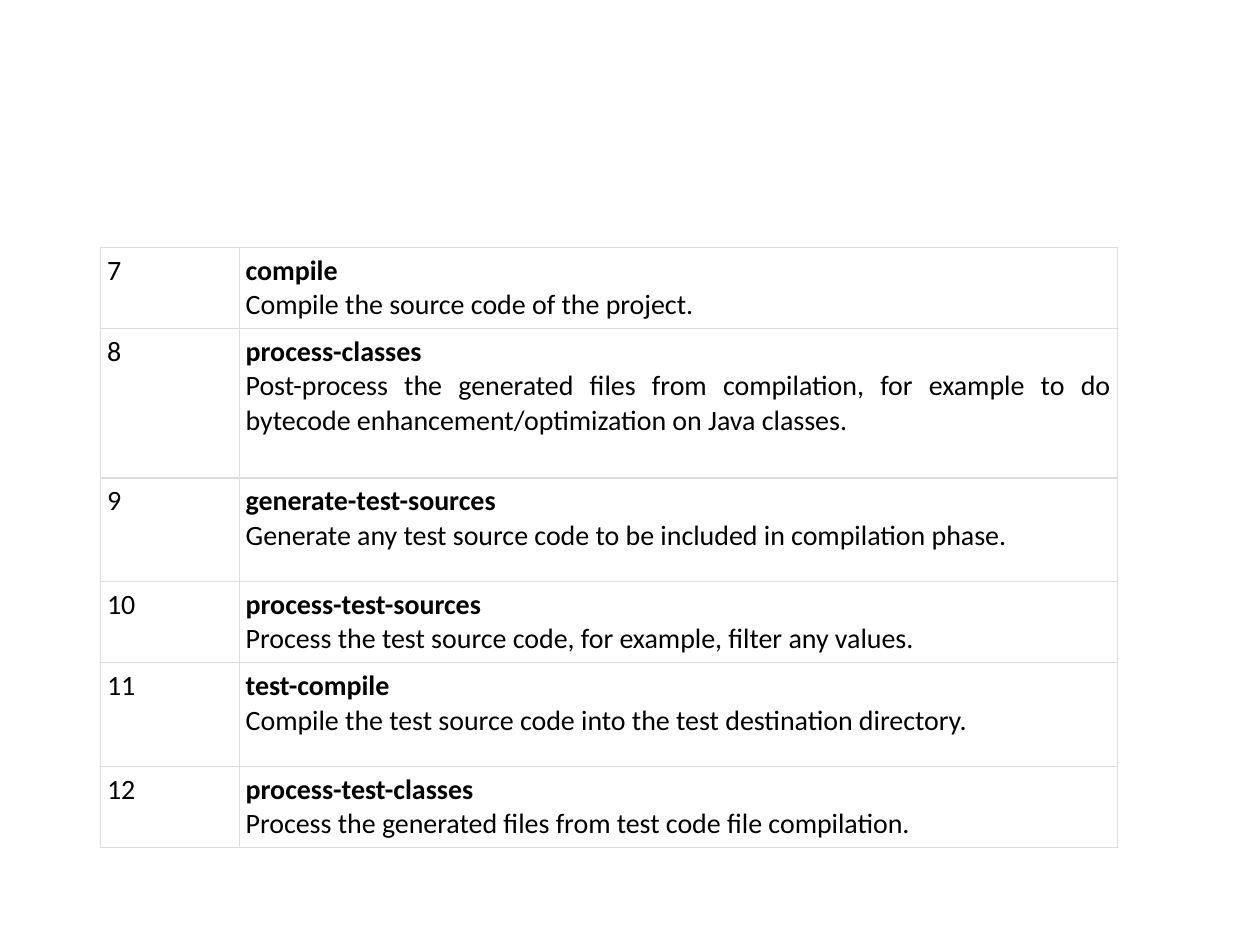
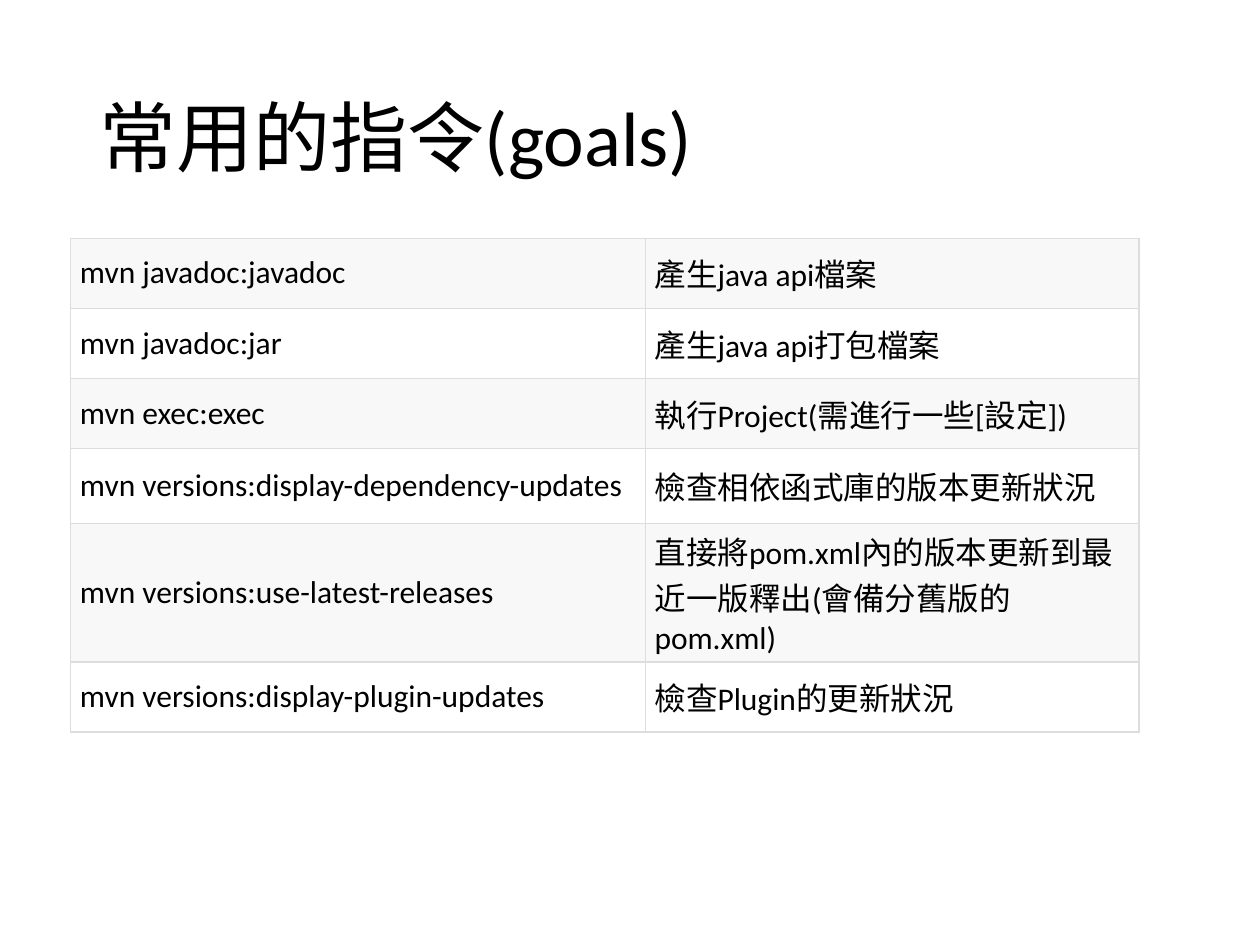
from collections import namedtuple

from lxml.etree import SubElement
from pptx import Presentation
from pptx.dml.color import RGBColor
from pptx.enum.text import MSO_ANCHOR as Anchor, PP_ALIGN as Align
from pptx.oxml.ns import qn
from pptx.util import Inches, Pt

FONT = "Calibri"
INK, RULE, STRIPE, PAPER = "000000", "DDDDDD", "F8F8F8", "FFFFFF"
RULE_WIDTH = Pt(0.75)
SLIDE_WIDTH, SLIDE_HEIGHT = Inches(10), Inches(7.5)
GRID_COLUMN, GRID_ROW = SLIDE_WIDTH / 100, SLIDE_HEIGHT / 75

Box = namedtuple("Box", "left top width height")
CellStyle = namedtuple("CellStyle", "size anchor inset_x inset_y fills")

PHASE_STYLE = CellStyle(16, Anchor.TOP, 0.5, 0.5, [None])
GOAL_STYLE = CellStyle(18, Anchor.MIDDLE, 0.75, 0.3, [STRIPE, PAPER])

PHASES = [
    ("compile", "Compile the source code of the project."),
    ("process-classes",
     "Post-process the generated files from compilation, for example to do "
     "bytecode enhancement/optimization on Java classes."),
    ("generate-test-sources",
     "Generate any test source code to be included in compilation phase."),
    ("process-test-sources",
     "Process the test source code, for example, filter any values."),
    ("test-compile",
     "Compile the test source code into the test destination directory."),
    ("process-test-classes",
     "Process the generated files from test code file compilation."),
]
FIRST_PHASE = 7

GOALS = [
    ("mvn javadoc:javadoc", "產生java api檔案"),
    ("mvn javadoc:jar", "產生java api打包檔案"),
    ("mvn exec:exec", "執行Project(需進行一些[設定])"),
    ("mvn versions:display-dependency-updates", "檢查相依函式庫的版本更新狀況"),
    ("mvn versions:use-latest-releases",
     "直接將pom.xml內的版本更新到最近一版釋出(會備分舊版的pom.xml)"),
    ("mvn versions:display-plugin-updates", "檢查Plugin的更新狀況"),
]


def color(hex_code):
    """Turn a hex string into a colour."""
    return RGBColor.from_string(hex_code)


def across(columns):
    """Return the length of a number of grid columns."""
    return round(columns * GRID_COLUMN)


def down(rows):
    """Return the length of a number of grid rows."""
    return round(rows * GRID_ROW)


def place(box):
    """Return a grid box as left, top, width and height."""
    return across(box.left), down(box.top), across(box.width), down(box.height)


def add_run(paragraph, text, size, bold=False):
    """Add one run in the shared font and ink."""
    run = paragraph.add_run()
    run.text = text
    run.font.name = FONT
    run.font.size = Pt(size)
    run.font.bold = bold
    run.font.color.rgb = color(INK)


def rule_cell(cell):
    """Draw the thin grey rule on all four sides of a cell."""
    properties = cell._tc.get_or_add_tcPr()
    for side in ("a:lnL", "a:lnR", "a:lnT", "a:lnB"):
        line = SubElement(properties, qn(side), w=str(RULE_WIDTH))
        SubElement(SubElement(line, qn("a:solidFill")), qn("a:srgbClr"), val=RULE)


def style_cell(cell, style, fill):
    """Set the rules, fill, anchor and insets of a cell."""
    rule_cell(cell)
    if fill:
        cell.fill.solid()
        cell.fill.fore_color.rgb = color(fill)
    else:
        cell.fill.background()
    cell.vertical_anchor = style.anchor
    cell.margin_left = cell.margin_right = across(style.inset_x)
    cell.margin_top = cell.margin_bottom = down(style.inset_y)


def write_cell(cell, lines, size, align):
    """Write (text, bold) lines as the paragraphs of a cell."""
    frame = cell.text_frame
    for index, (text, bold) in enumerate(lines):
        paragraph = frame.add_paragraph() if index else frame.paragraphs[0]
        paragraph.alignment = align
        add_run(paragraph, text, size, bold)


def add_ruled_table(slide, box, column_weights, row_weights, entries, style,
                    aligns=(Align.LEFT, Align.LEFT)):
    """Fill a box with a ruled table whose columns and rows share it by weight."""
    table = slide.shapes.add_table(
        len(row_weights), len(column_weights), *place(box)).table
    table.first_row = table.horz_banding = False
    for column, weight in zip(table.columns, column_weights):
        column.width = across(box.width * weight / sum(column_weights))
    for row, weight in zip(table.rows, row_weights):
        row.height = down(box.height * weight / sum(row_weights))
    for index, (row, entry) in enumerate(zip(table.rows, entries)):
        fill = style.fills[index % len(style.fills)]
        for cell, lines, align in zip(row.cells, entry, aligns):
            style_cell(cell, style, fill)
            write_cell(cell, lines, style.size, align)


def add_title(slide, box, text):
    """Add a slide title, centred vertically in its box."""
    frame = slide.shapes.add_textbox(*place(box)).text_frame
    frame.word_wrap = True
    frame.vertical_anchor = Anchor.MIDDLE
    paragraph = frame.paragraphs[0]
    paragraph.line_spacing = 0.9
    add_run(paragraph, text, 44)


def build_phases(slide, box):
    """Build the table of numbered lifecycle phases."""
    entries = [([(str(number), False)], [(phase, True), (purpose, False)])
               for number, (phase, purpose) in enumerate(PHASES, FIRST_PHASE)]
    add_ruled_table(slide, box, [11, 69.7], [6.4, 11.8, 8.2, 6.4, 8.2, 6.4],
                    entries, PHASE_STYLE, (Align.LEFT, Align.JUSTIFY))


def build_goals(slide, title_box, table_box):
    """Build the titled table of common goals."""
    add_title(slide, title_box, "常用的指令(goals)")
    entries = [([(goal, False)], [(effect, False)]) for goal, effect in GOALS]
    add_ruled_table(slide, table_box, [45.6, 39.2],
                    [5.56, 5.56, 5.56, 6, 10.96, 5.56], entries, GOAL_STYLE)


def main():
    """Build and save the two slides."""
    deck = Presentation()
    deck.slide_width, deck.slide_height = SLIDE_WIDTH, SLIDE_HEIGHT
    blank = deck.slide_layouts[6]
    build_phases(deck.slides.add_slide(blank), Box(8, 19.65, 80.7, 47.6))
    build_goals(deck.slides.add_slide(blank), Box(6.9, 4, 86.2, 14.5),
                Box(5.6, 18.9, 84.8, 39.2))
    deck.save("out.pptx")


if __name__ == "__main__":
    main()
